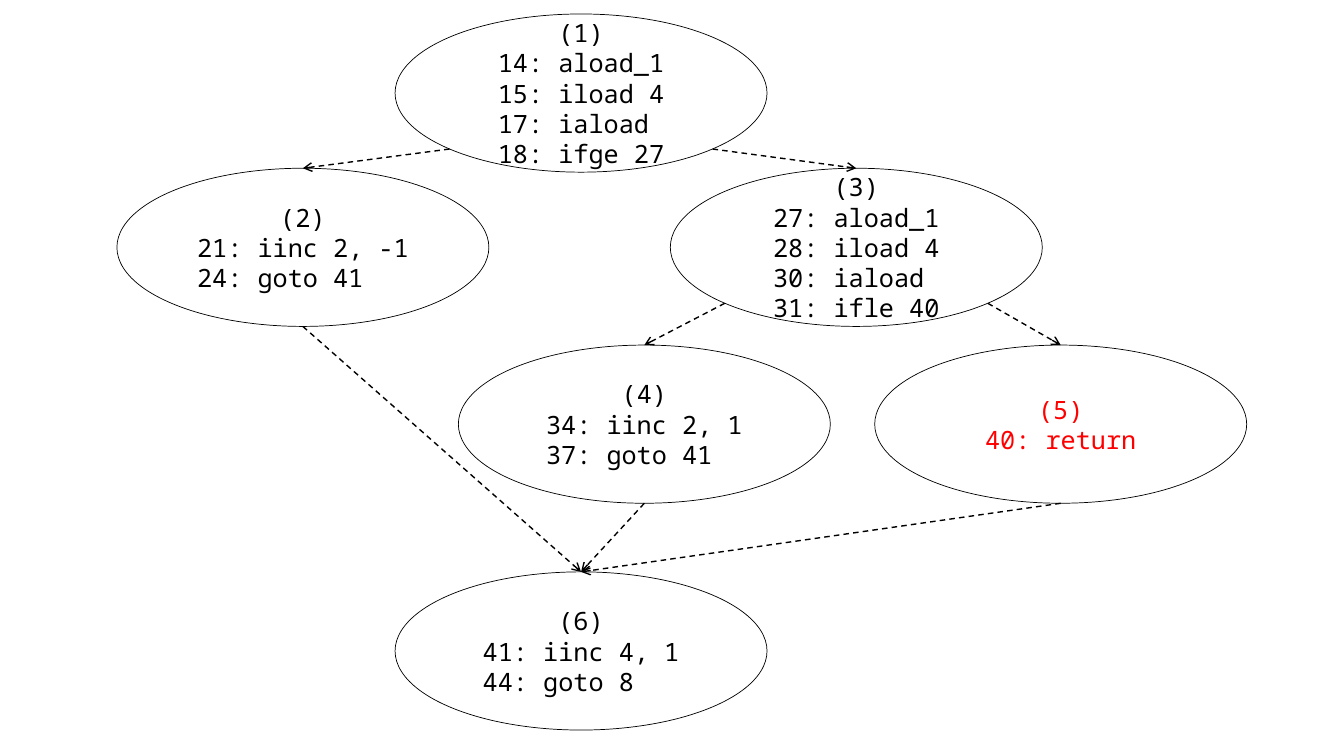
from pptx import Presentation
from pptx.dml.color import RGBColor
from pptx.enum.dml import MSO_LINE as Dash
from pptx.enum.shapes import MSO_CONNECTOR as Link, MSO_SHAPE as Shape
from pptx.enum.text import MSO_ANCHOR as Anchor, PP_ALIGN as Align
from pptx.oxml.ns import qn
from pptx.util import Pt
from lxml.etree import SubElement

WIDE, HIGH = 265.7, 113
SIZE = 18
CHAR = 0.6 * SIZE
INSET = (1 - 0.5 ** 0.5) / 2
BLACK, RED = "000000", "FF0000"


def color(text):
    return RGBColor.from_string(text)


deck = Presentation()
deck.slide_width, deck.slide_height = Pt(960), Pt(540)
slide = deck.slides.add_slide(deck.slide_layouts[6])

blocks = {
    1: (282.2, 10, BLACK, ["14: aload_1", "15: iload 4", "17: iaload", "18: ifge 27"]),
    2: (83.5, 120.2, BLACK, ["21: iinc 2, -1", "24: goto 41"]),
    3: (478.8, 120.2, BLACK, ["27: aload_1", "28: iload 4", "30: iaload", "31: ifle 40"]),
    4: (327.4, 246.5, BLACK, ["34: iinc 2, 1", "37: goto 41"]),
    5: (624.8, 246.5, RED, ["40: return"]),
    6: (282.2, 408.5, BLACK, ["41: iinc 4, 1", "44: goto 8"]),
}
for num, (left, top, ink, code) in blocks.items():
    node = slide.shapes.add_shape(Shape.OVAL, Pt(left), Pt(top), Pt(WIDE), Pt(HIGH))
    node.name = f"Block {num}"
    node.shadow.inherit = False
    node.fill.background()
    node.line.color.rgb = color(BLACK)
    node.line.width = Pt(0.5)
    frame = node.text_frame
    frame.word_wrap = True
    frame.vertical_anchor = Anchor.MIDDLE
    for side in ("left", "right", "top", "bottom"):
        setattr(frame, f"margin_{side}", 0)
    indent = (WIDE * (1 - 2 * INSET) - CHAR * max(map(len, code))) / 2
    for row, text in enumerate([f"({num})"] + code):
        para = frame.add_paragraph() if row else frame.paragraphs[0]
        para.alignment = Align.LEFT if row else Align.CENTER
        if row:
            para._p.get_or_add_pPr().set("marL", str(int(Pt(indent))))
        run = para.add_run()
        run.text = text
        run.font.name = "Noto Sans Mono"
        run.font.size = Pt(SIZE)
        run.font.color.rgb = color(ink)

ports = {
    "left": (INSET, 1 - INSET),
    "right": (1 - INSET, 1 - INSET),
    "base": (0.5, 1),
    "top": (0.5, 0),
}


def place(num, port):
    left, top = blocks[num][:2]
    across, down = ports[port]
    return Pt(left + WIDE * across), Pt(top + HIGH * down)


edges = [
    (1, "left", 2), (1, "right", 3), (2, "base", 6), (3, "left", 4),
    (3, "right", 5), (4, "base", 6), (5, "base", 6),
]
for start, port, end in edges:
    edge = slide.shapes.add_connector(Link.STRAIGHT, *place(start, port), *place(end, "top"))
    edge.name = f"Edge {start} to {end}"
    edge.line.color.rgb = color(BLACK)
    edge.line.width = Pt(1)
    edge.line.dash_style = Dash.DASH
    SubElement(edge.line._get_or_add_ln(), qn("a:tailEnd"), type="arrow")
    SubElement(edge._element.spPr, qn("a:effectLst"))

deck.save("out.pptx")
